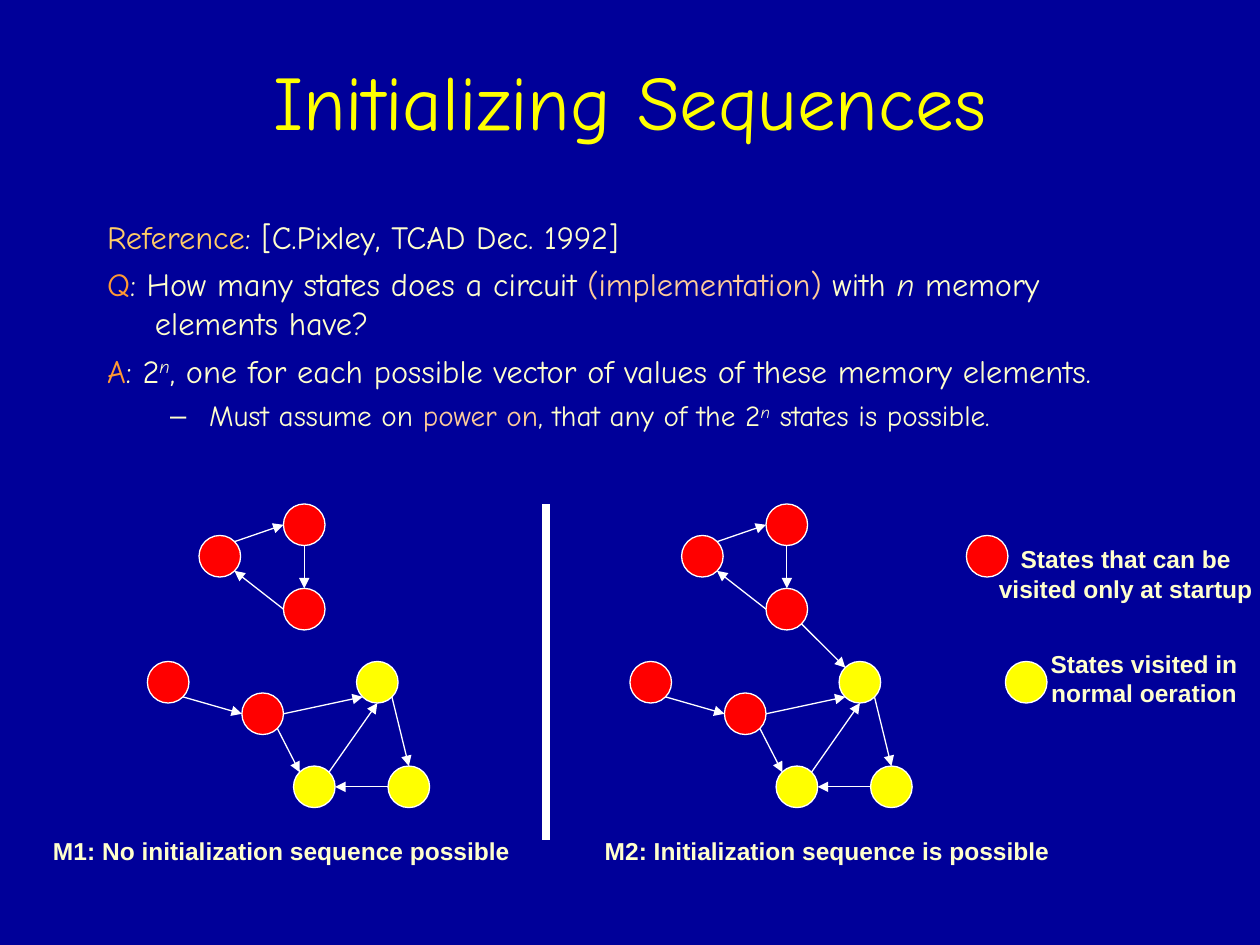
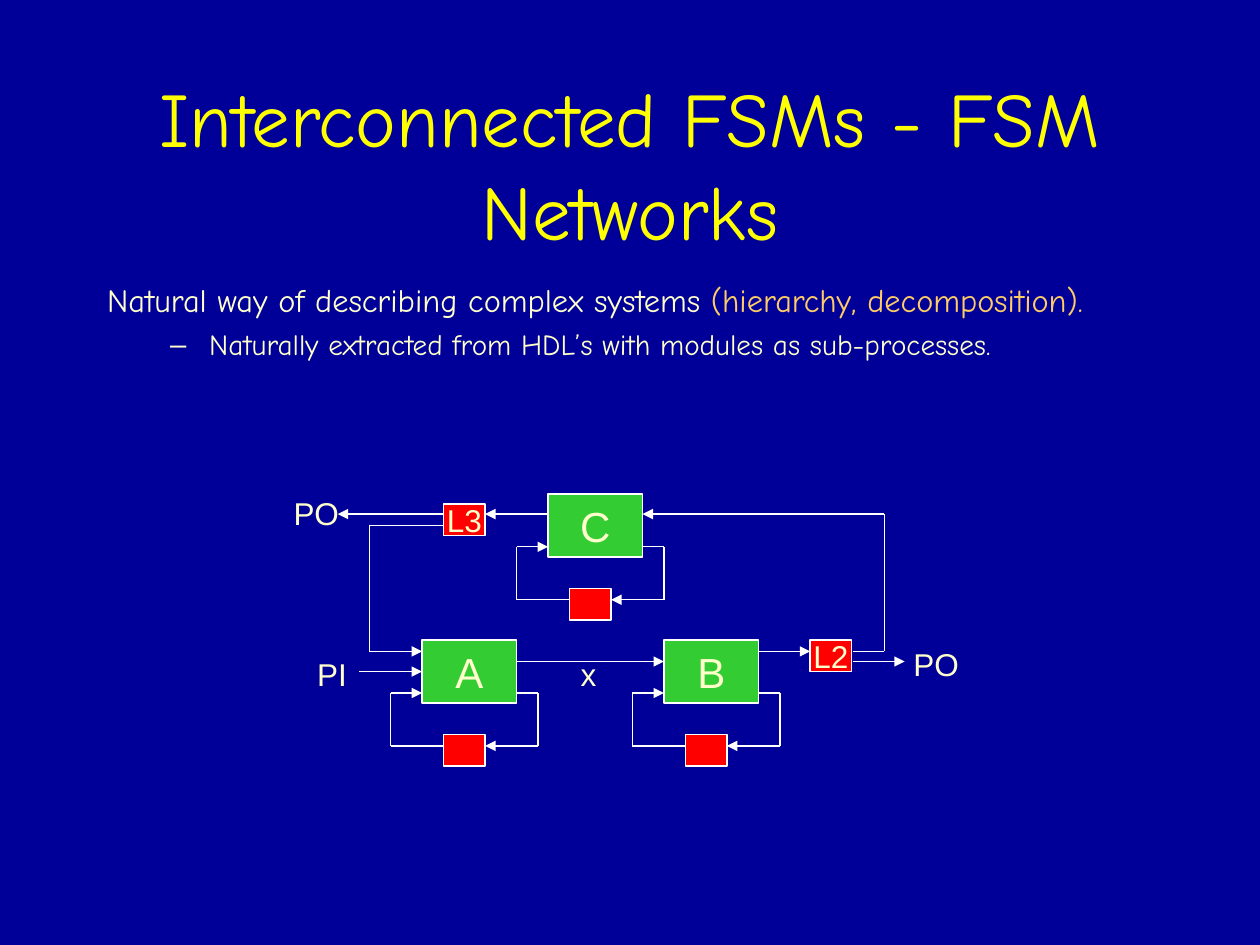
import lxml.etree
import pptx
import pptx.dml.color
import pptx.enum.shapes
import pptx.enum.text
import pptx.oxml.ns
import pptx.util

Inches = pptx.util.Inches
Pt = pptx.util.Pt
RGBColor = pptx.dml.color.RGBColor
SHAPE = pptx.enum.shapes.MSO_SHAPE
ALIGN = pptx.enum.text.PP_ALIGN
ANCHOR = pptx.enum.text.MSO_ANCHOR
AUTO_SIZE = pptx.enum.text.MSO_AUTO_SIZE

NAVY = RGBColor(0x00, 0x00, 0x99)
YELLOW = RGBColor(0xFF, 0xFF, 0x00)
CREAM = RGBColor(0xFF, 0xFF, 0xCC)
GOLD = RGBColor(0xFF, 0xCC, 0x66)
ORANGE = RGBColor(0xFF, 0x99, 0x33)
PEACH = RGBColor(0xFF, 0xCC, 0x99)
RED = RGBColor(0xFF, 0x00, 0x00)
GREEN = RGBColor(0x33, 0xCC, 0x33)
WHITE = RGBColor(0xFF, 0xFF, 0xFF)

HAND = "Comic Neue"
SANS = "Arial"

STATE_SIZE = 0.33
PORTS = {
    "N": (0, -1), "S": (0, 1), "W": (-1, 0), "E": (1, 0),
    "NW": (-0.7, -0.7), "NE": (0.7, -0.7), "SW": (-0.7, 0.7), "SE": (0.7, 0.7),
}
STATES = {
    "a": (1.58, 4.25, RED), "b": (2.25, 4, RED), "c": (2.25, 4.67, RED),
    "d": (1.17, 5.25, RED), "e": (1.92, 5.5, RED), "f": (2.83, 5.25, YELLOW),
    "g": (2.33, 6.08, YELLOW), "h": (3.08, 6.08, YELLOW),
}
TRANSITIONS = [
    ("a", "NE", "b", "W"), ("b", "S", "c", "N"), ("c", "W", "a", "SE"),
    ("d", "SE", "e", "W"), ("e", "E", "f", "SW"), ("e", "SE", "g", "NW"),
    ("g", "NE", "f", "S"), ("f", "SE", "h", "N"), ("h", "W", "g", "E"),
]
ESCAPE = ("c", "SE", "f", "NW")


def add_xml(parent, tag, **attrs):
    return lxml.etree.SubElement(parent, pptx.oxml.ns.qn(tag), **attrs)


def place(sp, x, y, w, h):
    sp.left, sp.top, sp.width, sp.height = Inches(x), Inches(y), Inches(w), Inches(h)


def add_run(p, text, size=18, font=SANS, color=CREAM, bold=False, italic=False, sup=False):
    r = p.add_run()
    r.text = text
    r.font.size, r.font.name = Pt(size), font
    r.font.color.rgb = color
    r.font.bold, r.font.italic = bold, italic
    if sup:
        r._r.get_or_add_rPr().set("baseline", "30000")


def center_text(tf, text, **fmt):
    tf.vertical_anchor = ANCHOR.MIDDLE
    for i, line in enumerate(text.split("\n")):
        p = tf.add_paragraph() if i else tf.paragraphs[0]
        p.alignment = ALIGN.CENTER
        add_run(p, line, **fmt)


def add_slide(prs, title, title_top):
    s = prs.slides.add_slide(prs.slide_layouts[1])
    sp = s.shapes.title
    place(sp, 0.75, title_top, 8.5, 1.25)
    sp.text_frame.auto_size = AUTO_SIZE.NONE
    center_text(sp.text_frame, title, size=44, font=HAND, color=YELLOW)
    return s


def fill_body(s, top, height, items):
    sp = s.placeholders[1]
    place(sp, 0.75, top, 8.5, height)
    tf = sp.text_frame
    tf.auto_size = AUTO_SIZE.NONE
    for i, (level, runs) in enumerate(items):
        p = tf.add_paragraph() if i else tf.paragraphs[0]
        p.level = level
        p.space_before = Pt(4.5 if level else 5)
        pPr = p._p.get_or_add_pPr()
        margin, indent = (0.81, -0.31) if level else (0.38, -0.38)
        pPr.set("marL", str(Inches(margin)))
        pPr.set("indent", str(Inches(indent)))
        if level:
            add_xml(add_xml(pPr, "a:buClr"), "a:srgbClr", val=str(CREAM))
            add_xml(pPr, "a:buChar", char="–")
        else:
            add_xml(pPr, "a:buNone")
        for text, fmt in runs:
            add_run(p, text, size=16.7 if level else 18.5, font=HAND, **fmt)


def add_label(s, text, x, y, w, h, **fmt):
    tf = s.shapes.add_textbox(Inches(x), Inches(y), Inches(w), Inches(h)).text_frame
    tf.word_wrap = False
    tf.auto_size = AUTO_SIZE.SHAPE_TO_FIT_TEXT
    center_text(tf, text, **fmt)


def add_node(s, kind, x, y, w, h, fill, text="", size=18):
    sp = s.shapes.add_shape(kind, Inches(x), Inches(y), Inches(w), Inches(h))
    sp.shadow.inherit = False
    sp.fill.solid()
    sp.fill.fore_color.rgb = fill
    sp.line.color.rgb = WHITE
    sp.line.width = Pt(0.75)
    if text:
        sp.text_frame.word_wrap = False
        center_text(sp.text_frame, text, size=size)


def add_line(s, start, end, width=0.75, arrow=False):
    cxn = s.shapes.add_connector(
        pptx.enum.shapes.MSO_CONNECTOR.STRAIGHT, *map(Inches, (*start, *end)))
    cxn.line.color.rgb = WHITE
    cxn.line.width = Pt(width)
    if arrow:
        add_xml(cxn.line._get_or_add_ln(), "a:tailEnd", type="triangle")
    add_xml(cxn._element.spPr, "a:effectLst")


def add_route(s, *points):
    for i, (start, end) in enumerate(zip(points, points[1:]), 2):
        add_line(s, start, end, arrow=i == len(points))


def add_state(s, x, y, color):
    add_node(s, SHAPE.FLOWCHART_CONNECTOR, x, y, STATE_SIZE, STATE_SIZE, color)


def port(name, side, dx):
    x, y, _ = STATES[name]
    radius = STATE_SIZE / 2
    px, py = PORTS[side]
    return x + dx + radius * (1 + px), y + radius * (1 + py)


def add_machine(s, dx, transitions):
    for x, y, color in STATES.values():
        add_state(s, x + dx, y, color)
    for src, out_side, dst, in_side in transitions:
        add_route(s, port(src, out_side, dx), port(dst, in_side, dx))


def add_register(s, x, y, text=""):
    add_node(s, SHAPE.FLOWCHART_PROCESS, x, y, 0.33, 0.25, RED, text)


def add_fsm(s, x, y, name):
    add_node(s, SHAPE.FLOWCHART_PROCESS, x, y, 0.75, 0.5, GREEN, name, size=24)
    add_register(s, x + 0.17, y + 0.75)
    pin, loop = y + 0.42, y + 0.84
    add_route(s, (x + 0.75, pin), (x + 0.92, pin), (x + 0.92, loop), (x + 0.5, loop))
    add_route(s, (x + 0.17, loop), (x - 0.25, loop), (x - 0.25, pin), (x, pin))


def build_sequences(prs):
    s = add_slide(prs, "Initializing Sequences", 0.17)
    n = ("n", dict(italic=True, sup=True))
    fill_body(s, 1.67, 2.25, [
        (0, [("Reference", dict(color=GOLD)), (": [C.Pixley, TCAD Dec. 1992]", {})]),
        (0, [("Q", dict(color=ORANGE)), (": How many states does a circuit ", {}),
             ("(implementation)", dict(color=PEACH)), (" with ", {}),
             ("n", dict(italic=True)), (" memory elements have?", {})]),
        (0, [("A", dict(color=ORANGE)), (": 2", {}), n,
             (", one for each possible vector of values of these memory elements.", {})]),
        (1, [("Must assume on ", {}), ("power on", dict(color=PEACH)),
             (", that any of the 2", {}), n, (" states is possible.", {})]),
    ])
    add_machine(s, 0, TRANSITIONS)
    add_line(s, (4.33, 4), (4.33, 6.67), width=4.5)
    add_machine(s, 3.83, TRANSITIONS + [ESCAPE])
    add_state(s, 7.67, 4.25, RED)
    add_state(s, 7.98, 5.25, YELLOW)
    for text, x, y, w, h in [
        ("M1: No initialization sequence possible", 0.29, 6.58, 3.89, 0.34),
        ("M2: Initialization sequence is possible", 4.67, 6.58, 3.79, 0.34),
        ("States visited in\nnormal oeration", 8.21, 5.1, 1.74, 0.57),
        ("States that can be\nvisited only at startup", 7.8, 4.27, 2.27, 0.57),
    ]:
        add_label(s, text, x, y, w, h, size=14, bold=True)


def build_networks(prs):
    s = add_slide(prs, "Interconnected FSMs - FSM Networks", 0.67)
    fill_body(s, 2.17, 1.08, [
        (0, [("Natural way of describing complex systems ", {}),
             ("(hierarchy, decomposition).", dict(color=GOLD))]),
        (1, [("Naturally extracted from HDL’s with modules as sub-processes.", {})]),
    ])
    add_register(s, 3.52, 4, "L3")
    add_register(s, 6.43, 5.08, "L2")
    for name, x, y in [("B", 5.27, 5.08), ("A", 3.35, 5.08), ("C", 4.35, 3.92)]:
        add_fsm(s, x, y, name)
    for points in [
        [(3.52, 4.08), (2.68, 4.08)],
        [(6.77, 5.25), (7.18, 5.25)],
        [(6.02, 5.17), (6.43, 5.17)],
        [(2.85, 5.33), (3.35, 5.33)],
        [(4.35, 4.08), (3.85, 4.08)],
        [(4.1, 5.25), (5.27, 5.25)],
        [(6.77, 5.17), (7.02, 5.17), (7.02, 4.08), (5.1, 4.08)],
        [(3.52, 4.17), (2.93, 4.17), (2.93, 5.17), (3.35, 5.17)],
    ]:
        add_route(s, *points)
    for text, x, y, w in [("PI", 2.38, 5.15, 0.51), ("PO", 2.2, 3.87, 0.62),
                          ("PO", 7.12, 5.07, 0.62), ("x", 4.48, 5.15, 0.38)]:
        add_label(s, text, x, y, w, 0.4)


def main():
    prs = pptx.Presentation()
    prs.slide_width, prs.slide_height = Inches(10), Inches(7.5)
    background = prs.slide_master.background.fill
    background.solid()
    background.fore_color.rgb = NAVY
    build_sequences(prs)
    build_networks(prs)
    prs.save("out.pptx")


if __name__ == "__main__":
    main()
